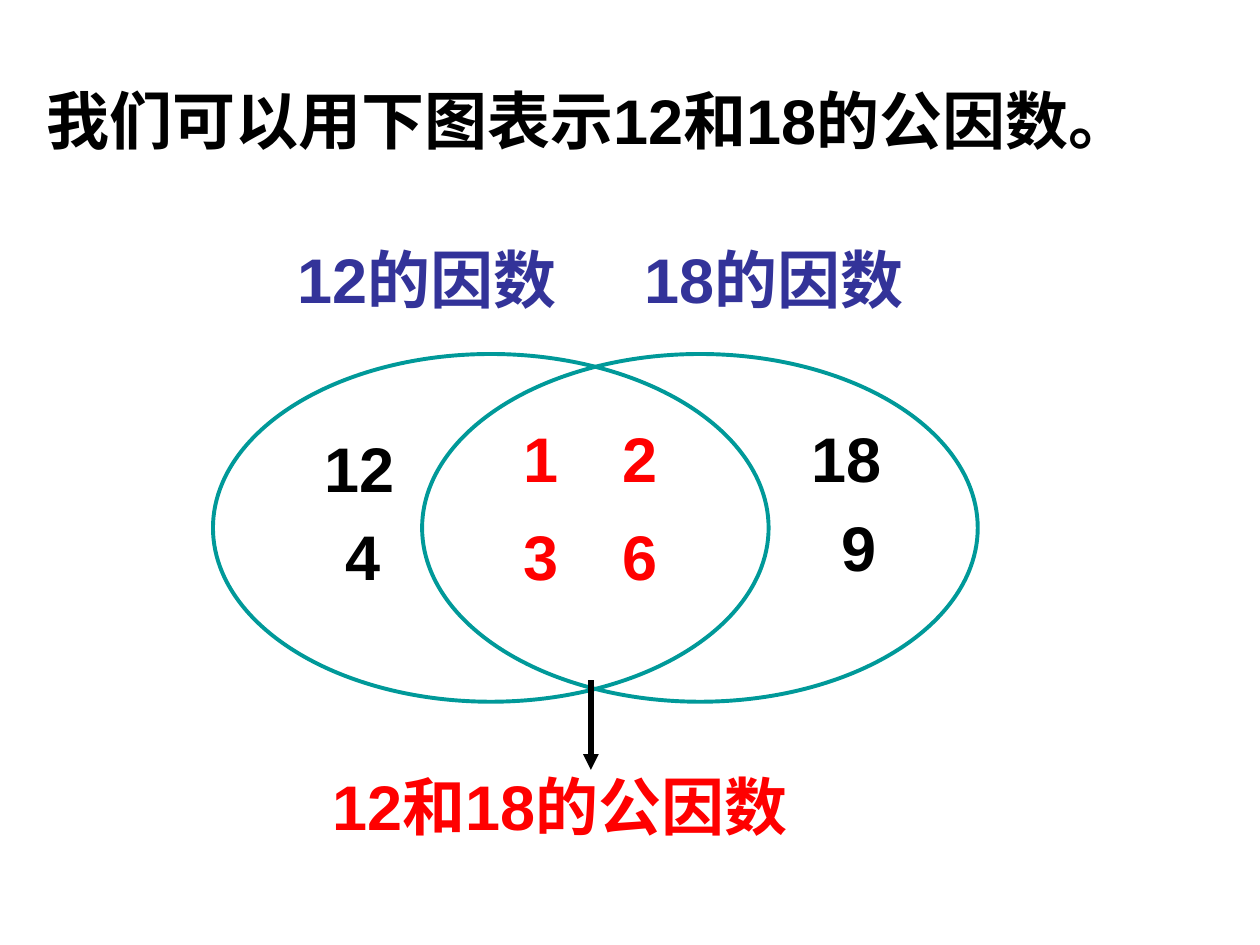
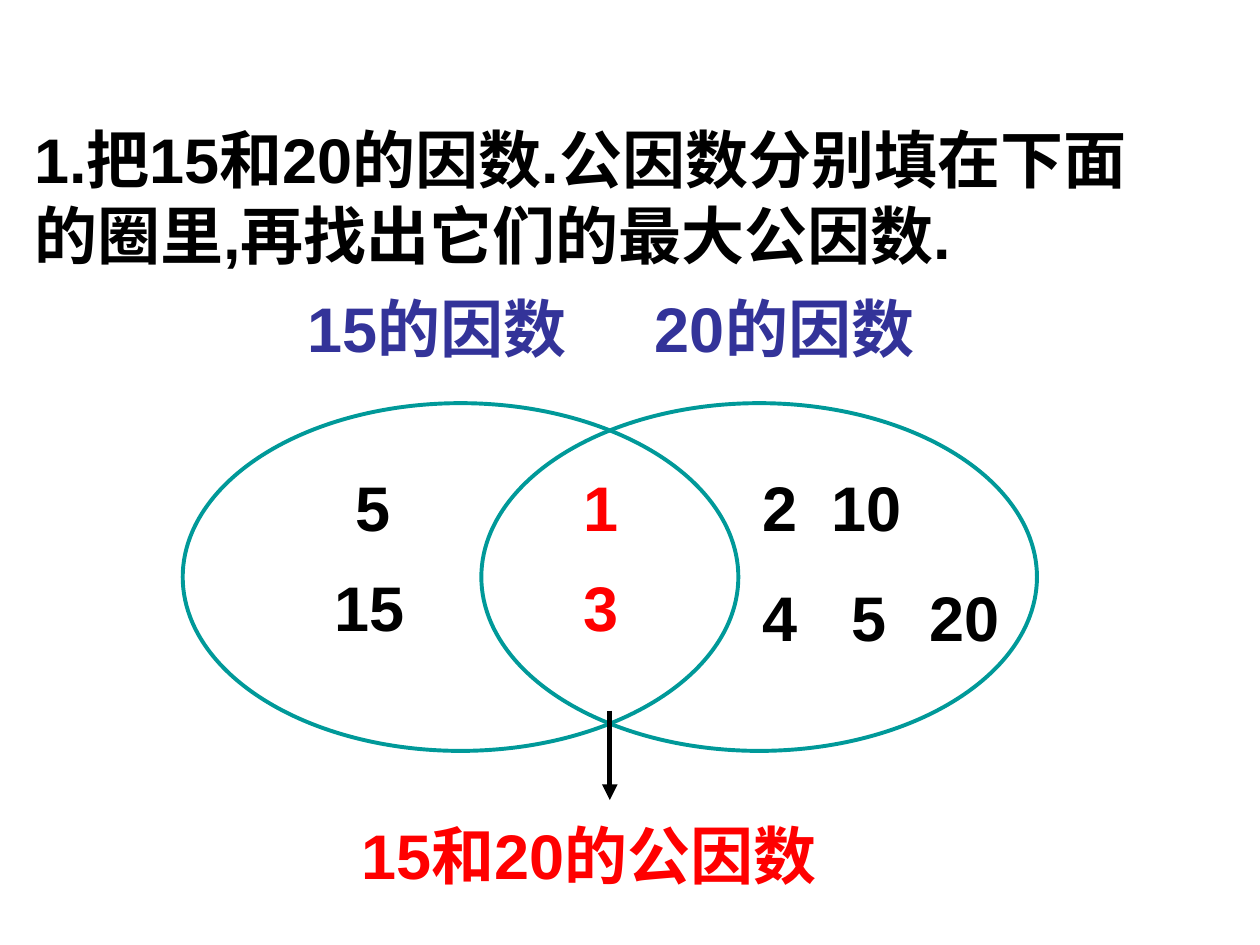
from lxml import etree
from pptx import Presentation
from pptx.dml.color import RGBColor
from pptx.enum import shapes, text
from pptx.oxml import ns
from pptx.util import Inches, Pt

# Theme: colours, type and line sizes
THEME = {
    "ink": RGBColor(0x00, 0x00, 0x00),
    "label": RGBColor(0x33, 0x33, 0x99),
    "common": RGBColor(0xFF, 0x00, 0x00),
    "ring": RGBColor(0x00, 0x99, 0x99),
    "font": {"name": "Arial", "size": Pt(36), "bold": True},
    "ring_width": Pt(2.25),
    "arrow_width": Pt(3),
}
LINE_H = 0.7                      # height of a one-line box
RING_W, RING_H = 4.41, 2.76
DIGIT_W = {1: 0.48, 2: 0.75}      # box width by number of digits
LABEL_STEP = 2.76                 # from the left label to the right one
ARROW_LEN = 0.71

# Content: numbers are (value, left, top)
SLIDES = [
    {
        "title": "我们可以用下图表示12和18的公因数。",
        "title_box": (0.27, 0.6, 9.29, 0.7),
        "pair": (12, 18),
        "ring_lefts": (1.69, 3.35), "ring_top": 2.81,
        "label_left": 2.26, "common_left": 2.54,
        "arrow": (4.69, 5.4),
        "own": [(12, 2.48, 3.36), (4, 2.64, 4.06),
                (18, 6.34, 3.28), (9, 6.58, 3.99)],
        "shared": [(1, 4.06, 3.28), (2, 4.84, 3.28),
                   (3, 4.06, 4.06), (6, 4.84, 4.06)],
    },
    {
        "title": "1.把15和20的因数.公因数分别填在下面\n的圈里,再找出它们的最大公因数.",
        "title_box": (0.17, 0.91, 9.83, 1.3),
        "pair": (15, 20),
        "ring_lefts": (1.45, 3.82), "ring_top": 3.2,
        "label_left": 2.34, "common_left": 2.77,
        "arrow": (4.84, 5.64),
        "own": [(5, 2.72, 3.67), (15, 2.56, 4.46),
                (2, 5.95, 3.67), (10, 6.5, 3.67),
                (4, 5.95, 4.54), (5, 6.66, 4.54), (20, 7.28, 4.54)],
        "shared": [(1, 4.53, 3.67), (3, 4.53, 4.46)],
    },
]


def write(sp, content, color):
    """Fill a text box or title in the shared type style."""
    tf = sp.text_frame
    tf.text = content
    frame = {"word_wrap": False, "auto_size": text.MSO_AUTO_SIZE.NONE,
             "vertical_anchor": text.MSO_ANCHOR.TOP, "margin_right": 0}
    for name, value in frame.items():
        setattr(tf, name, value)
    for p in tf.paragraphs:
        p.alignment = text.PP_ALIGN.LEFT
        for r in p.runs:
            for name, value in THEME["font"].items():
                setattr(r.font, name, value)
            r.font.color.rgb = color


def add_text(s, content, left, top, width, color):
    """Add a one-line text box."""
    sp = s.shapes.add_textbox(Inches(left), Inches(top), Inches(width), Inches(LINE_H))
    write(sp, content, color)


prs = Presentation()
prs.slide_width, prs.slide_height = Inches(10), Inches(7.5)
title_only = prs.slide_layouts[5]

for page in SLIDES:
    s = prs.slides.add_slide(title_only)
    first, second = page["pair"]
    top = page["ring_top"]

    # Title
    title = s.shapes.title
    for name, value in zip(("left", "top", "width", "height"), page["title_box"]):
        setattr(title, name, Inches(value))
    write(title, page["title"], THEME["ink"])

    # Rings and their labels
    for i, (number, left) in enumerate(zip(page["pair"], page["ring_lefts"])):
        ring = s.shapes.add_shape(shapes.MSO_SHAPE.OVAL, Inches(left), Inches(top),
                                  Inches(RING_W), Inches(RING_H))
        ring.shadow.inherit = False
        ring.fill.background()
        ring.line.color.rgb = THEME["ring"]
        ring.line.width = THEME["ring_width"]
        add_text(s, f"{number}的因数", page["label_left"] + i * LABEL_STEP,
                 top - 0.95, 2.37, THEME["label"])

    # Factors inside the rings
    for group, color in (("own", "ink"), ("shared", "common")):
        for number, x, y in page[group]:
            add_text(s, str(number), x, y, DIGIT_W[len(str(number))], THEME[color])

    # Arrow to the common factors
    x, y = page["arrow"]
    arrow = s.shapes.add_connector(shapes.MSO_CONNECTOR.STRAIGHT, Inches(x), Inches(y),
                                   Inches(x), Inches(y + ARROW_LEN))
    arrow.line.color.rgb = THEME["ink"]
    arrow.line.width = THEME["arrow_width"]
    etree.SubElement(arrow.line._get_or_add_ln(), ns.qn("a:tailEnd"), type="triangle")
    etree.SubElement(arrow._element.spPr, ns.qn("a:effectLst"))
    add_text(s, f"{first}和{second}的公因数", page["common_left"], top + 3.23,
             4.17, THEME["common"])

prs.save("out.pptx")
